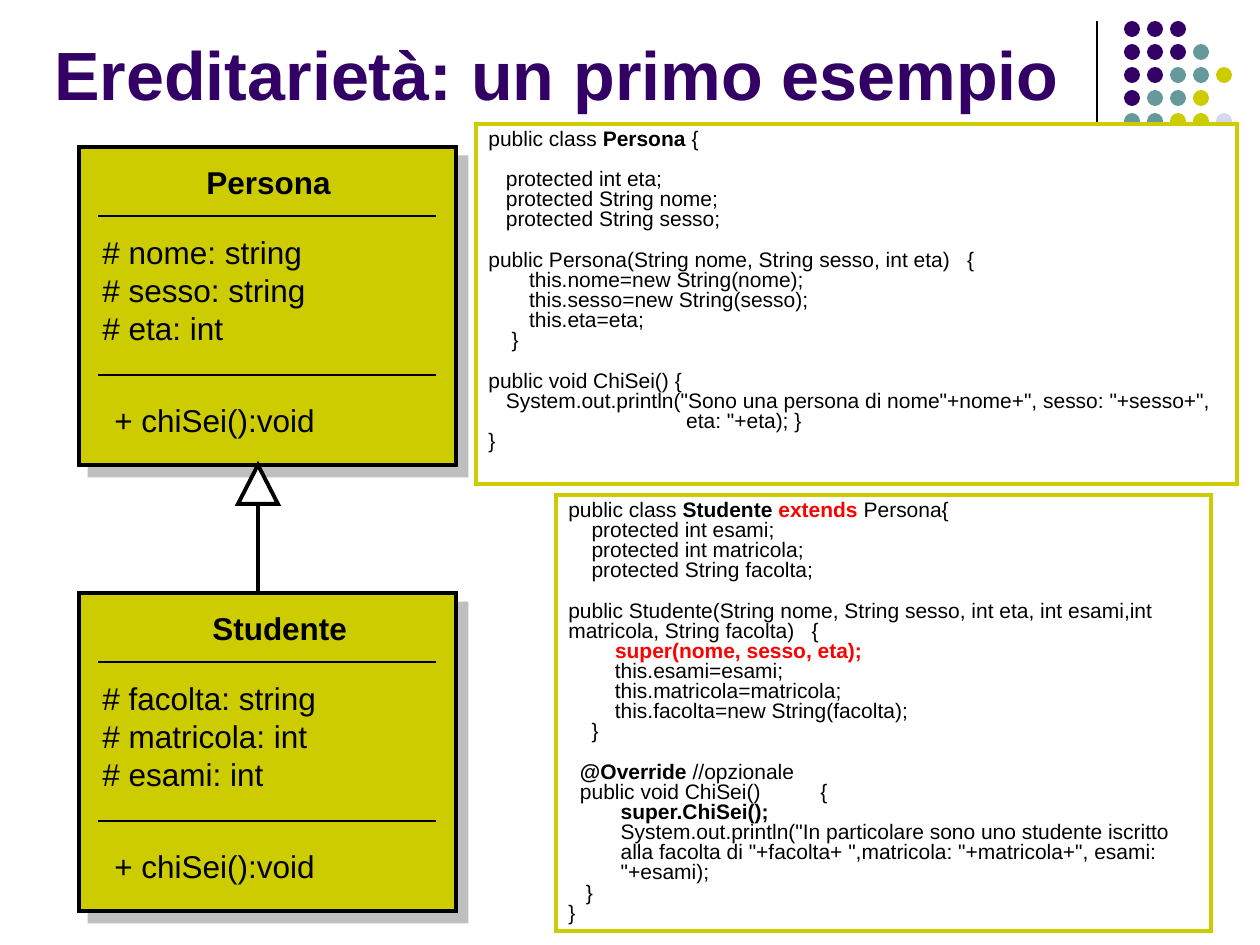
from lxml import etree
from pptx import Presentation
from pptx.dml.color import RGBColor
from pptx.enum.shapes import MSO_CONNECTOR as CONN, MSO_SHAPE as SHAPE
from pptx.enum.text import MSO_ANCHOR as ANCHOR, PP_ALIGN as ALIGN
from pptx.oxml import parse_xml
from pptx.oxml.ns import nsdecls, qn
from pptx.util import Emu, Pt

PURPLE, TEAL, OLIVE, LILAC = "330066", "669999", "CCCC00", "D8D8EC"
BLACK, WHITE, RED = "000000", "FFFFFF", "FF0000"
BOLD, KEYWORD = (True, BLACK), (True, RED)
DOTS = ["PPP", "PPPT", "PPTTO", "PTTO", "TTOOL"]
DOT_COLORS = {"P": PURPLE, "T": TEAL, "O": OLIVE, "L": LILAC}

PERSONA_CODE = [
    ["public class ", ("Persona ", BOLD), "{"],
    [],
    ["   protected int eta;"],
    ["   protected String nome;"],
    ["   protected String sesso;"],
    [],
    ["public Persona(String nome, String sesso, int eta)   {"],
    ["       this.nome=new String(nome);"],
    ["       this.sesso=new String(sesso);"],
    ["       this.eta=eta;"],
    ["    }"],
    [],
    ["public void ChiSei() {"],
    ['   System.out.println("Sono una persona di nome"+nome+", sesso: "+sesso+",'],
    ['                                  eta: "+eta); }'],
    ["}"],
]
STUDENTE_CODE = [
    ["public class ", ("Studente ", BOLD), ("extends ", KEYWORD), "Persona{"],
    ["    protected int esami;"],
    ["    protected int matricola;"],
    ["    protected String facolta;"],
    [],
    ["public Studente(String nome, String sesso, int eta, int esami,int matricola, String facolta)   {"],
    ["        ", ("super(nome, sesso, eta);", KEYWORD)],
    ["        this.esami=esami;"],
    ["        this.matricola=matricola;"],
    ["        this.facolta=new String(facolta);"],
    ["    }"],
    [],
    ["  ", ("@Override ", BOLD), "//opzionale"],
    ["  public void ChiSei()\t{"],
    [("         super.ChiSei();", BOLD)],
    ['         System.out.println("In particolare sono uno studente iscritto'],
    ['         alla facolta di "+facolta+ ",matricola: "+matricola+", esami:'],
    ['         "+esami);'],
    ["   }"],
    ["}"],
]


def px(n):
    return Emu(round(n * 914400 / 126))


def rgb(color):
    return RGBColor.from_string(color)


class Deck:
    font = "Arial"

    def __init__(self, prs):
        self.s = prs.slides.add_slide(prs.slide_layouts[6])

    def shape(self, kind, x, y, w, h, fill, line=None, width=1):
        sp = self.s.shapes.add_shape(kind, px(x), px(y), px(w), px(h))
        sp.shadow.inherit = False
        sp.fill.solid()
        sp.fill.fore_color.rgb = rgb(fill)
        if line:
            sp.line.color.rgb = rgb(line)
            sp.line.width = Pt(width)
            etree.SubElement(sp.line._get_or_add_ln(), qn("a:miter"), lim="800000")
        else:
            sp.line.fill.background()
        return sp

    def line(self, x1, y1, x2, y2, width):
        c = self.s.shapes.add_connector(CONN.STRAIGHT, px(x1), px(y1), px(x2), px(y2))
        c.line.color.rgb = rgb(BLACK)
        c.line.width = Pt(width)
        etree.SubElement(c._element.spPr, qn("a:effectLst"))

    def run(self, p, text, size, bold=False, color=BLACK):
        r = p.add_run()
        r.text = text
        r.font.name = self.font
        r.font.size = Pt(size)
        r.font.bold = bold
        r.font.color.rgb = rgb(color)

    def text(self, x, y, w, h, lines, size, bold=False, color=BLACK, anchor=ANCHOR.TOP):
        tf = self.s.shapes.add_textbox(px(x), px(y), px(w), px(h)).text_frame
        tf.word_wrap = True
        tf.vertical_anchor = anchor
        for i, line in enumerate(lines):
            p = tf.add_paragraph() if i else tf.paragraphs[0]
            self.run(p, line, size, bold, color)

    def code(self, x, y, w, h, lines):
        tf = self.shape(SHAPE.RECTANGLE, x, y, w, h, WHITE, OLIVE, 2).text_frame
        tf.word_wrap = True
        tf.vertical_anchor = ANCHOR.TOP
        p, gap = tf.paragraphs[0], False
        for i, line in enumerate(lines):
            if not line:
                gap = True
                continue
            if i:
                p = tf.add_paragraph()
            p.alignment = ALIGN.LEFT
            p.line_spacing = 0.8
            if gap:
                p.space_before = Pt(11.5)
                gap = False
            for part in line:
                text, style = (part, (False, BLACK)) if isinstance(part, str) else part
                self.run(p, text, 12, *style)

    def uml_class(self, y, name, name_x, attributes):
        sp = self.shape(SHAPE.RECTANGLE, 79, y, 377, 318, OLIVE, BLACK, 2.25)
        sp._element.spPr.find(qn("a:effectLst")).append(parse_xml(
            f'<a:outerShdw {nsdecls("a")} dist="107950" dir="2700000" algn="ctr" rotWithShape="0">'
            '<a:srgbClr val="808080"><a:alpha val="50000"/></a:srgbClr></a:outerShdw>'))
        self.text(name_x, y + 10, 175, 50, [name], 18, bold=True)
        self.text(90, y + 80, 260, 126, attributes, 18)
        self.text(102, y + 248, 250, 50, ["+ chiSei():void"], 18)
        for dy in (69, 228):
            self.line(98, y + dy, 436, y + dy, 1)

    def inheritance(self, x, top, bottom):
        self.shape(SHAPE.ISOSCELES_TRIANGLE, x - 20, top, 40, 39, WHITE, BLACK, 2.25)
        self.line(x, top + 39, x, bottom, 2.25)

    def dots(self, x, y, pitch, size):
        for row, keys in enumerate(DOTS):
            for col, key in enumerate(keys):
                self.shape(SHAPE.OVAL, x + col * pitch, y + row * pitch, size, size, DOT_COLORS[key])


def main():
    prs = Presentation()
    prs.slide_width, prs.slide_height = px(1260), px(945)
    deck = Deck(prs)
    deck.line(1097, 21, 1097, 231, 0.75)
    deck.dots(1124, 21, 23, 16)
    deck.text(42, 0, 1046, 120, ["Ereditarietà: un primo esempio"], 39, True, PURPLE, ANCHOR.BOTTOM)
    deck.code(476, 124, 761, 360, PERSONA_CODE)
    deck.code(556, 495, 655, 436, STUDENTE_CODE)
    deck.uml_class(147, "Persona", 194, ["# nome: string", "# sesso: string", "# eta: int"])
    deck.uml_class(593, "Studente", 200, ["# facolta: string", "# matricola: int", "# esami: int"])
    deck.inheritance(258, 465, 593)
    prs.save("out.pptx")


if __name__ == "__main__":
    main()
